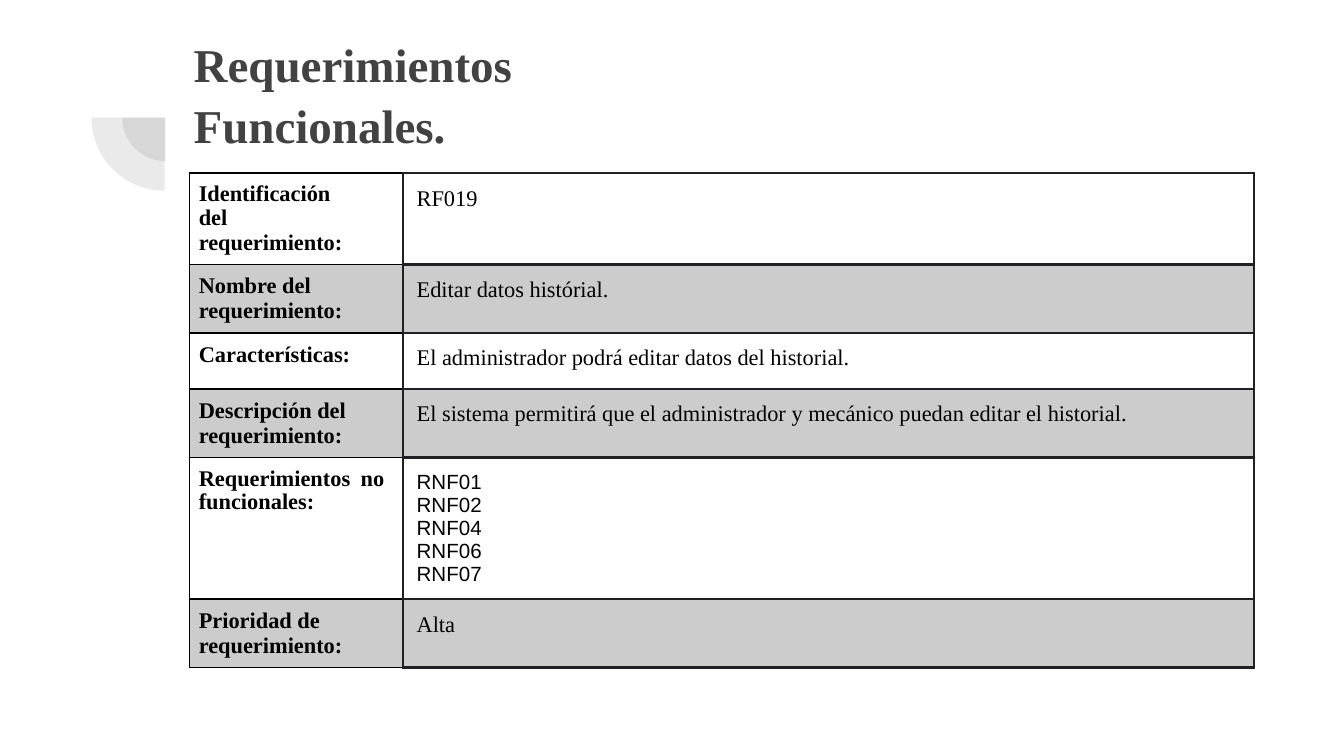
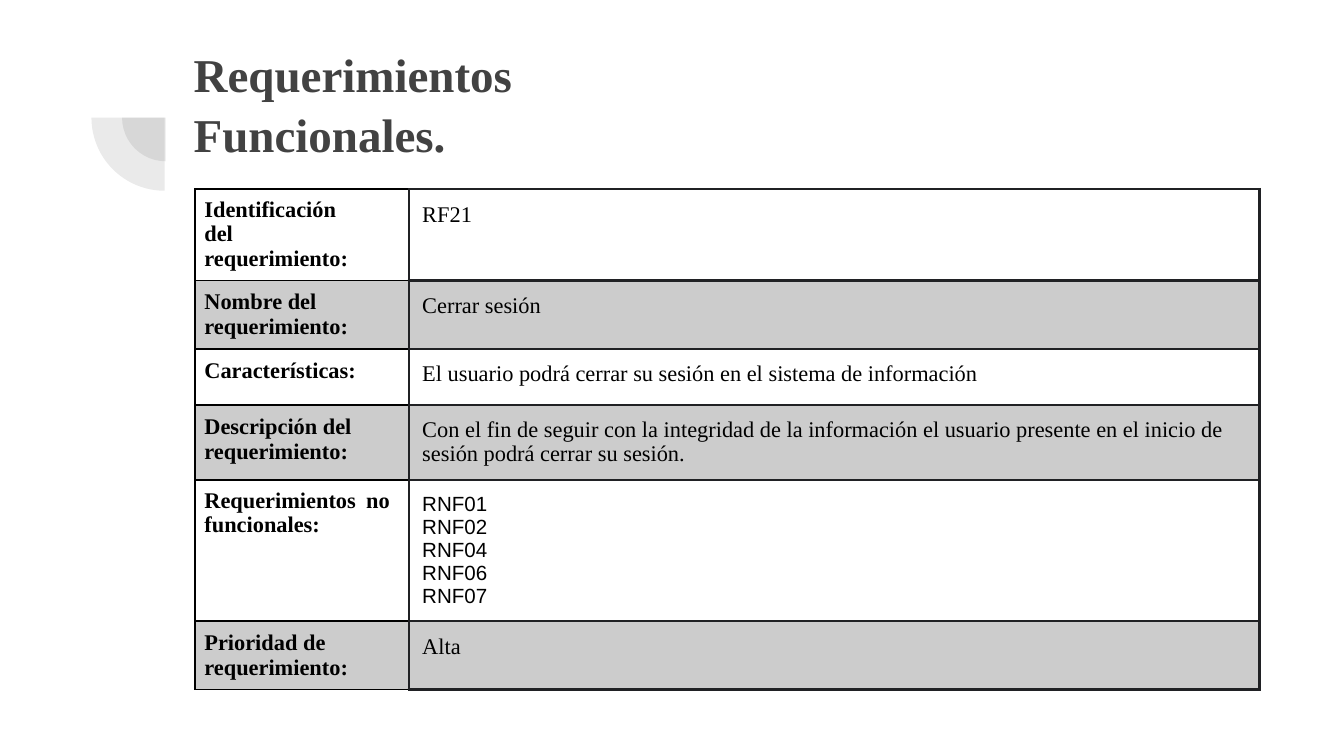
"""Build two slides of functional requirement tables."""
from lxml.etree import SubElement
from pptx import Presentation
from pptx.dml.color import RGBColor
from pptx.enum.shapes import MSO_SHAPE
from pptx.enum.text import MSO_ANCHOR, MSO_AUTO_SIZE, PP_ALIGN
from pptx.oxml.ns import qn
from pptx.util import Pt

HUES = {"title": "424242", "text": "000000", "rule": "202124",
        "band": "CCCCCC", "page": "FFFFFF"}

TITLE = ["Requerimientos", "Funcionales."]
LABELS = [
    ["Identificación del", "requerimiento:"],
    ["Nombre del", "requerimiento:"],
    ["Características:"],
    ["Descripción del requerimiento:"],
    ["Requerimientos no funcionales:"],
    ["Prioridad de", "requerimiento:"],
]
NEEDS = ["RNF01", "RNF02", "RNF04", "RNF06", "RNF07"]
PAGES = [
    {"title": 10, "grid": (101.5, 92.8), "values": [
        ["RF019"],
        ["Editar datos histórial."],
        ["El administrador podrá editar datos del historial."],
        ["El sistema permitirá que el administrador y mecánico "
         "puedan editar el historial."],
        NEEDS,
        ["Alta"]]},
    {"title": 15.1, "grid": (104.5, 101.3), "values": [
        ["RF21"],
        ["Cerrar sesión"],
        ["El usuario podrá cerrar su sesión en el sistema de información"],
        ["Con el fin de seguir con la integridad de la información el usuario "
         "presente en el inicio de sesión podrá cerrar su sesión."],
        NEEDS,
        ["Alta"]]},
]

HEAD = {"name": "Times New Roman", "size": Pt(25.2), "bold": True}
LABEL = {"name": "Times New Roman", "size": Pt(12), "bold": True}
VALUE = {**LABEL, "bold": False}
CODE = {"name": "Arial", "size": Pt(11), "bold": False}

TIGHT = {"line_spacing": 0.96}
LABEL_FIRST = {0: TIGHT, 4: {**TIGHT, "alignment": PP_ALIGN.JUSTIFY}}
LABEL_RIGHT = {0: 20, 4: 5}
WIDTHS = (114.5, 455.8)
ROW = 30.2
PIES = [(65.4, 46.8), (49, 78.4)]
HUB = (88.3, 63)
SIDES = ("left", "right", "top", "bottom")


def put(item, vals):
    """Set each attribute of an item from a dict."""
    for key, val in vals.items():
        setattr(item, key, val)


def tint(hue):
    """Turn a palette name into a colour."""
    return RGBColor.from_string(HUES[hue])


def write(frame, lines, font, hue, form):
    """Write paragraphs into a text frame and return them."""
    for num, line in enumerate(lines):
        para = frame.paragraphs[0] if num == 0 else frame.add_paragraph()
        run = para.add_run()
        run.text = line
        put(para, form)
        put(run.font, font)
        run.font.color.rgb = tint(hue)
    return frame.paragraphs


def edge(cell, rules):
    """Draw the four borders of a cell."""
    props = cell._tc.get_or_add_tcPr()
    for side, (hue, size) in zip("LRTB", rules):
        line = SubElement(props, qn(f"a:ln{side}"), w=str(Pt(size)))
        fill = SubElement(line, qn("a:solidFill"))
        SubElement(fill, qn("a:srgbClr"), val=HUES[hue])


def style(cell, row, inset, rules):
    """Give a cell its insets, borders and row band."""
    put(cell, {f"margin_{side}": Pt(inset) for side in SIDES})
    cell.vertical_anchor = MSO_ANCHOR.TOP
    edge(cell, rules)
    cell.fill.solid()
    cell.fill.fore_color.rgb = tint("band" if row % 2 else "page")


def mark(slide):
    """Draw the two quarter discs around one centre."""
    for left, size in PIES:
        pie = slide.shapes.add_shape(
            MSO_SHAPE.PIE, Pt(left), Pt(HUB[1] - size / 2), Pt(size), Pt(size))
        pie.adjustments[0], pie.adjustments[1] = 108, 162
        pie.rotation = 270
        pie.shadow.inherit = False
        pie.line.fill.background()
        pie.fill.solid()
        pie.fill.fore_color.rgb = tint("title")
        tone = pie.fill._xPr.find(".//" + qn("a:srgbClr"))
        SubElement(tone, qn("a:alpha"), val="11000")


def head(slide, top):
    """Place and format the slide title."""
    box = slide.shapes.title
    put(box, {"left": Pt(96.5), "top": Pt(top),
              "width": Pt(553.7), "height": Pt(78.5)})
    frame = box.text_frame
    put(frame, {f"margin_{side}": Pt(7.2) for side in SIDES})
    put(frame, {"word_wrap": True, "auto_size": MSO_AUTO_SIZE.NONE,
                "vertical_anchor": MSO_ANCHOR.MIDDLE})
    write(frame, TITLE, HEAD, "title",
          {"alignment": PP_ALIGN.LEFT, "line_spacing": 1.08})


def grid(slide, spot, values):
    """Build the requirement table."""
    left, top = spot
    table = slide.shapes.add_table(
        len(LABELS), 2, Pt(left), Pt(top),
        Pt(sum(WIDTHS)), Pt(ROW * len(LABELS))).table
    put(table, {"first_row": False, "horz_banding": False})
    for col, width in zip(table.columns, WIDTHS):
        col.width = Pt(width)
    thin, thick = ("text", 1), ("rule", 1.5)
    for row, (label, value) in enumerate(zip(LABELS, values)):
        table.rows[row].height = Pt(ROW)
        name, data = table.cell(row, 0), table.cell(row, 1)
        style(name, row, 5, (thin, thick, thin, thin))
        style(data, row, 7.2, (thick,) * 4)
        paras = write(name.text_frame, label, LABEL, "text", {})
        put(paras[0], LABEL_FIRST.get(row, {}))
        if row in LABEL_RIGHT:
            paras[0]._p.get_or_add_pPr().set("marR", str(Pt(LABEL_RIGHT[row])))
        write(data.text_frame, value, CODE if value is NEEDS else VALUE,
              "text", TIGHT if row in (2, 3) else {})


def main():
    """Create the deck."""
    deck = Presentation()
    put(deck, {"slide_width": Pt(720), "slide_height": Pt(405)})
    for page in PAGES:
        slide = deck.slides.add_slide(deck.slide_layouts[5])
        mark(slide)
        head(slide, page["title"])
        grid(slide, page["grid"], page["values"])
    deck.save("out.pptx")


if __name__ == "__main__":
    main()
